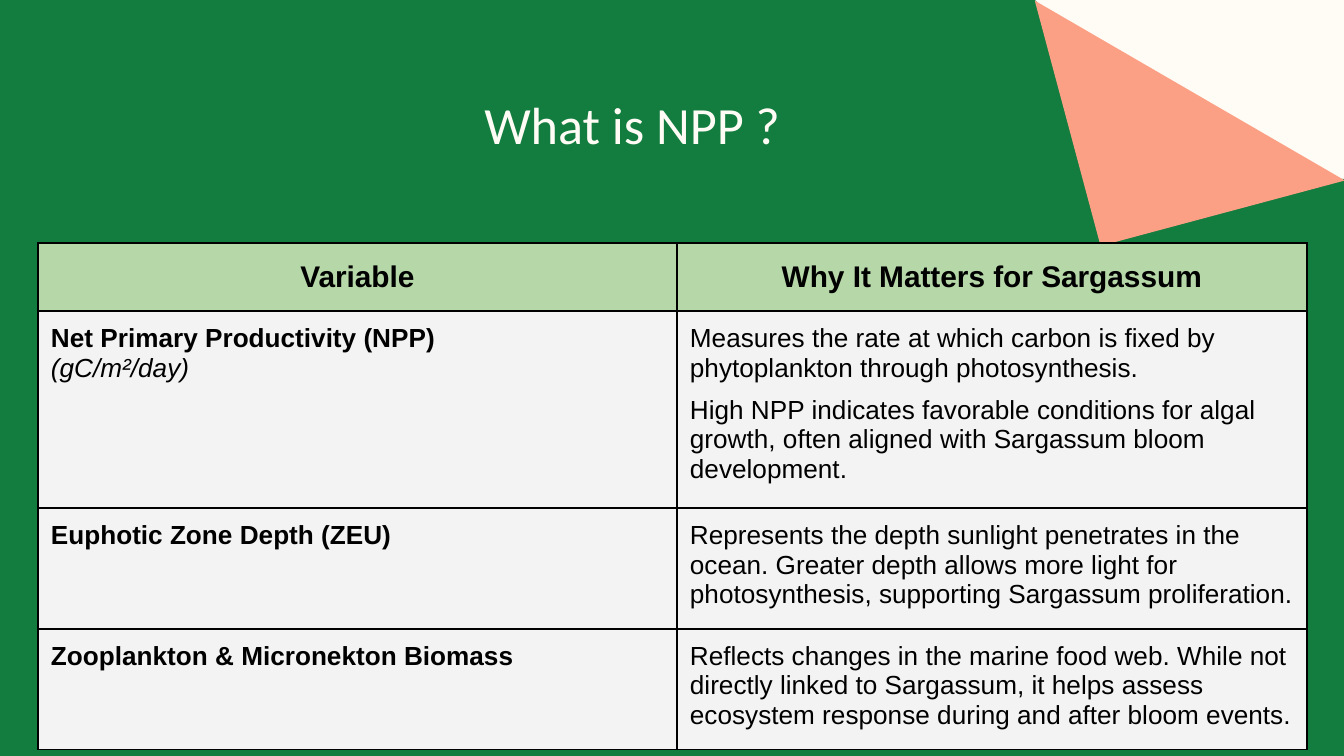
from pptx import Presentation
from pptx.dml.color import RGBColor as Rgb
from pptx.enum.shapes import MSO_SHAPE as Kind
from pptx.enum.text import PP_ALIGN as Align, MSO_ANCHOR as Anchor, MSO_AUTO_SIZE as Auto
from pptx.oxml import parse_xml
from pptx.oxml.ns import nsdecls
from pptx.util import Emu, Pt

SCALE = 914400 / 134.4
WIDE, HIGH = 1344, 756
PAD = 13
COLORS = {
    "cream": "FFFCF5", "green": "137C3F", "coral": "FBA084",
    "mint": "B6D7A8", "gray": "F3F3F3", "black": "000000",
}
HEADS = ["Variable", "Why It Matters for Sargassum"]
BODY = [
    (["Net Primary Productivity (NPP)", "(gC/m²/day)"],
     ["Measures the rate at which carbon is fixed by phytoplankton through photosynthesis.",
      "High NPP indicates favorable conditions for algal growth, often aligned with "
      "Sargassum bloom development."]),
    (["Euphotic Zone Depth (ZEU)"],
     ["Represents the depth sunlight penetrates in the ocean. Greater depth allows more "
      "light for photosynthesis, supporting Sargassum proliferation."]),
    (["Zooplankton & Micronekton Biomass"],
     ["Reflects changes in the marine food web. While not directly linked to Sargassum, "
      "it helps assess ecosystem response during and after bloom events."]),
]


def px(num):
    """Turn pixels into EMU."""
    return Emu(round(num * SCALE))


def tint(name):
    """Look up a named colour."""
    return Rgb.from_string(COLORS[name])


def pad(item):
    """Set equal insets on a cell or text frame."""
    item.margin_left = item.margin_right = px(PAD)
    item.margin_top = item.margin_bottom = px(PAD)


def style(para, size, face, color, bold=False, slant=False):
    """Set the font of a paragraph."""
    font = para.font
    font.size, font.name, font.bold, font.italic = Pt(size), face, bold, slant
    font.color.rgb = tint(color)


def block(slide, kind, box, color):
    """Add a plain filled shape."""
    shape = slide.shapes.add_shape(kind, *map(px, box))
    shape.shadow.inherit = False
    shape.fill.solid()
    shape.fill.fore_color.rgb = tint(color)
    shape.line.fill.background()
    return shape


def scene(slide, box):
    """Draw the green field with its folded top right corner."""
    left, top, wide, high = box
    fold = 309
    field = block(slide, Kind.SNIP_1_RECTANGLE, box, "green")
    field.adjustments[0] = fold / high
    edge = left + wide - fold
    block(slide, Kind.RECTANGLE, (edge, top + 179, fold, 274), "green")
    flap = block(slide, Kind.RIGHT_TRIANGLE, (edge + 28, top - 36, 254, 253), "coral")
    flap.element.spPr.xfrm.set("flipH", "1")
    flap.rotation = 75


def title(slide, box, text):
    """Place the title above the scene."""
    head = slide.shapes.title
    head.element.getparent().append(head.element)
    head.left, head.top, head.width, head.height = map(px, box)
    frame = head.text_frame
    frame.text = text
    frame.word_wrap, frame.auto_size = True, Auto.NONE
    frame.vertical_anchor = Anchor.MIDDLE
    pad(frame)
    para = frame.paragraphs[0]
    para.alignment = Align.CENTER
    style(para, 28, "Calibri", "cream")


def cell_base(cell, color):
    """Give a cell its border, fill and insets."""
    props = cell._tc.get_or_add_tcPr()
    for side in "LRTB":
        props.append(parse_xml(
            f'<a:ln{side} {nsdecls("a")} w="9525"><a:solidFill>'
            f'<a:srgbClr val="{COLORS["black"]}"/></a:solidFill></a:ln{side}>'))
    cell.fill.solid()
    cell.fill.fore_color.rgb = tint(color)
    cell.vertical_anchor = Anchor.TOP
    pad(cell)


def grid(slide, box):
    """Build the table of variables."""
    wide, high = box[2:]
    table = slide.shapes.add_table(len(BODY) + 1, 2, *map(px, box)).table
    table.horz_banding = False
    first = 639
    for col, size in zip(table.columns, (first, wide - first)):
        col.width = px(size)
    top, tall = 68, 197
    rest = (high - top - tall) // 2
    for row, size in zip(table.rows, (top, tall, rest, rest)):
        row.height = px(size)
    for col, text in enumerate(HEADS):
        cell = table.cell(0, col)
        cell_base(cell, "mint")
        cell.text = text
        para = cell.text_frame.paragraphs[0]
        para.alignment, para.line_spacing = Align.CENTER, 1.15
        style(para, 16, "Arial", "black", bold=True)
    for row, pair in enumerate(BODY, 1):
        for col, lines in enumerate(pair):
            cell = table.cell(row, col)
            cell_base(cell, "gray")
            cell.text = "\n".join(lines)
            for num, para in enumerate(cell.text_frame.paragraphs):
                label = col == 0
                if num and not label:
                    para.space_before = Pt(7)
                style(para, 14, "Arial", "black", label and num == 0, label and num > 0)


def main():
    """Build and save the slide."""
    deck = Presentation()
    deck.slide_width, deck.slide_height = px(WIDE), px(HIGH)
    slide = deck.slides.add_slide(deck.slide_layouts[5])
    slide.background.fill.solid()
    slide.background.fill.fore_color.rgb = tint("cream")
    scene(slide, (0, 0, WIDE, HIGH))
    title(slide, (226, 79, 812, 90), "What is NPP ?")
    grid(slide, (38, 243, 1269, 507))
    deck.save("out.pptx")


if __name__ == "__main__":
    main()
